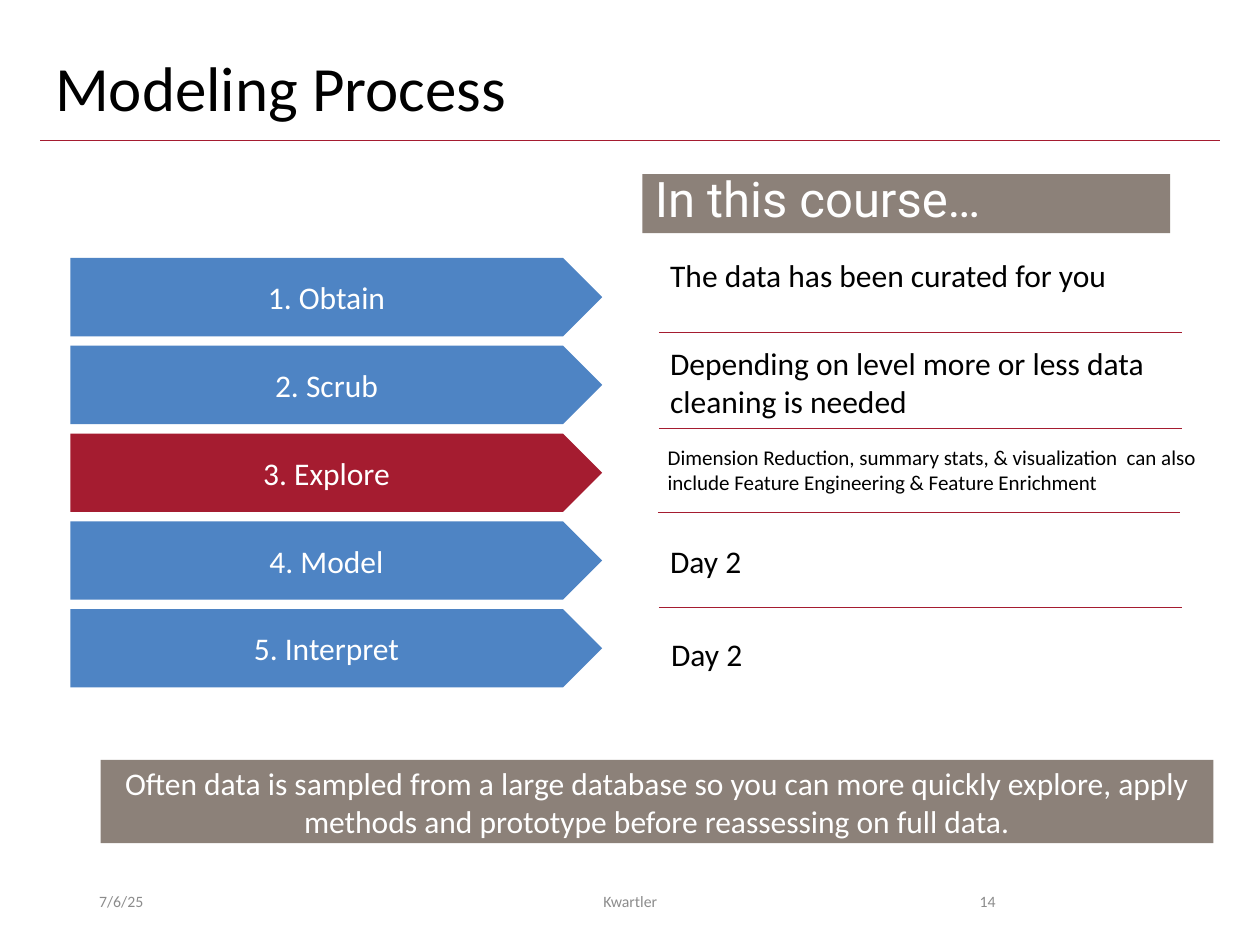
from dataclasses import dataclass

from lxml import etree
from pptx import Presentation
from pptx.dml.color import RGBColor
from pptx.enum.shapes import MSO_CONNECTOR, MSO_SHAPE
from pptx.enum.text import MSO_ANCHOR, PP_ALIGN
from pptx.oxml.ns import qn
from pptx.util import Cm, Pt

LEFT, CENTER, RIGHT = PP_ALIGN.LEFT, PP_ALIGN.CENTER, PP_ALIGN.RIGHT
TOP, MIDDLE = MSO_ANCHOR.TOP, MSO_ANCHOR.MIDDLE
RECTANGLE, PENTAGON = MSO_SHAPE.RECTANGLE, MSO_SHAPE.PENTAGON
STRAIGHT = MSO_CONNECTOR.STRAIGHT


@dataclass(frozen=True)
class Theme:
    body_font: str = "Calibri"
    heading_font: str = "Roboto"
    black: str = "000000"
    white: str = "FFFFFF"
    gray: str = "8C8C8C"
    taupe: str = "8C8179"
    blue: str = "4E84C4"
    crimson: str = "A51C30"
    title_size: float = 36
    heading_size: float = 28
    body_size: float = 18
    note_size: float = 12
    footer_size: float = 9
    rule_width: float = 0.5


THEME = Theme()


@dataclass(frozen=True)
class Area:
    """A rectangle in centimetres."""
    left: float
    top: float
    width: float
    height: float

    def lengths(self) -> tuple:
        return Cm(self.left), Cm(self.top), Cm(self.width), Cm(self.height)


@dataclass(frozen=True)
class TextStyle:
    size: float = THEME.body_size
    color: str = THEME.black
    font: str = THEME.body_font
    align: PP_ALIGN = LEFT
    anchor: MSO_ANCHOR = TOP
    line_spacing: float = 1.0


@dataclass(frozen=True)
class Step:
    name: str
    fill: str = THEME.blue


@dataclass(frozen=True)
class Remark:
    text: str
    area: Area
    size: float = THEME.body_size


@dataclass(frozen=True)
class Rule:
    left: float
    top: float
    width: float


BODY = TextStyle()
ON_FILL = TextStyle(color=THEME.white, align=CENTER, anchor=MIDDLE)
TITLE = TextStyle(size=THEME.title_size, line_spacing=0.9)
HEADING = TextStyle(THEME.heading_size, THEME.white, THEME.heading_font, line_spacing=0.8)

STEPS = [
    Step("1. Obtain"),
    Step("2. Scrub"),
    Step("3. Explore", THEME.crimson),
    Step("4. Model"),
    Step("5. Interpret"),
]
FIRST_ARROW = Area(1.42, 5.2, 10.72, 1.58)
ARROW_PITCH = 1.77

REMARKS = [
    Remark("The data has been curated for you", Area(13.26, 5.03, 10.62, 1.02)),
    Remark("Depending on level more or less data cleaning is needed",
           Area(13.26, 6.81, 12.14, 1.8)),
    Remark("Dimension Reduction, summary stats, & visualization  can also "
           "include Feature Engineering & Feature Enrichment",
           Area(13.21, 8.84, 11.56, 1.27), THEME.note_size),
    Remark("Day 2", Area(13.26, 10.8, 12.14, 1.02)),
    Remark("Day 2", Area(13.28, 12.67, 12.14, 1.02)),
]
RULES = [
    Rule(0.81, 2.84, 23.78),
    Rule(13.28, 6.71, 10.54),
    Rule(13.28, 8.64, 10.54),
    Rule(13.26, 10.34, 10.52),
    Rule(13.28, 12.24, 10.54),
]
FOOTERS = [
    ("7/6/25", 1.75, 5.72, LEFT),
    ("Kwartler", 8.41, 8.59, CENTER),
    ("14", 17.93, 2.39, RIGHT),
]


def set_text(box, text: str, style: TextStyle) -> None:
    frame = box.text_frame
    frame.word_wrap = True
    frame.vertical_anchor = style.anchor
    frame.text = text
    para = frame.paragraphs[0]
    para.alignment = style.align
    para.line_spacing = style.line_spacing
    font = para.runs[0].font
    font.name = style.font
    font.size = Pt(style.size)
    font.color.rgb = RGBColor.from_string(style.color)


def add_text(page, text: str, area: Area, style: TextStyle) -> None:
    set_text(page.shapes.add_textbox(*area.lengths()), text, style)


def add_block(page, preset: MSO_SHAPE, text: str, area: Area, fill: str,
              style: TextStyle) -> None:
    """Draw a borderless filled shape with text."""
    block = page.shapes.add_shape(preset, *area.lengths())
    block.shadow.inherit = False
    block.fill.solid()
    block.fill.fore_color.rgb = RGBColor.from_string(fill)
    block.line.fill.background()
    set_text(block, text, style)


def add_rule(page, rule: Rule) -> None:
    line = page.shapes.add_connector(STRAIGHT, Cm(rule.left), Cm(rule.top),
                                     Cm(rule.left + rule.width), Cm(rule.top))
    line.line.color.rgb = RGBColor.from_string(THEME.crimson)
    line.line.width = Pt(THEME.rule_width)
    etree.SubElement(line._element.spPr, qn("a:effectLst"))


def main() -> None:
    deck = Presentation()
    deck.slide_width, deck.slide_height = Cm(25.4), Cm(19.05)
    page = deck.slides.add_slide(deck.slide_layouts[6])

    add_text(page, "Modeling Process", Area(0.86, 1.02, 23.65, 1.65), TITLE)
    for rule in RULES:
        add_rule(page, rule)

    for index, step in enumerate(STEPS):
        area = Area(FIRST_ARROW.left, FIRST_ARROW.top + index * ARROW_PITCH,
                    FIRST_ARROW.width, FIRST_ARROW.height)
        add_block(page, PENTAGON, step.name, area, step.fill, ON_FILL)

    add_block(page, RECTANGLE, "In this course…", Area(12.95, 3.51, 10.64, 1.19),
              THEME.taupe, HEADING)
    for remark in REMARKS:
        add_text(page, remark.text, remark.area, TextStyle(size=remark.size))

    add_block(page, RECTANGLE,
              "Often data is sampled from a large database so you can more quickly "
              "explore, apply methods and prototype before reassessing on full data.",
              Area(2.03, 15.32, 22.43, 1.68), THEME.taupe, ON_FILL)
    for text, left, width, align in FOOTERS:
        add_text(page, text, Area(left, 17.65, width, 1.02),
                 TextStyle(THEME.footer_size, THEME.gray, align=align, anchor=MIDDLE))

    deck.save("out.pptx")


if __name__ == "__main__":
    main()
